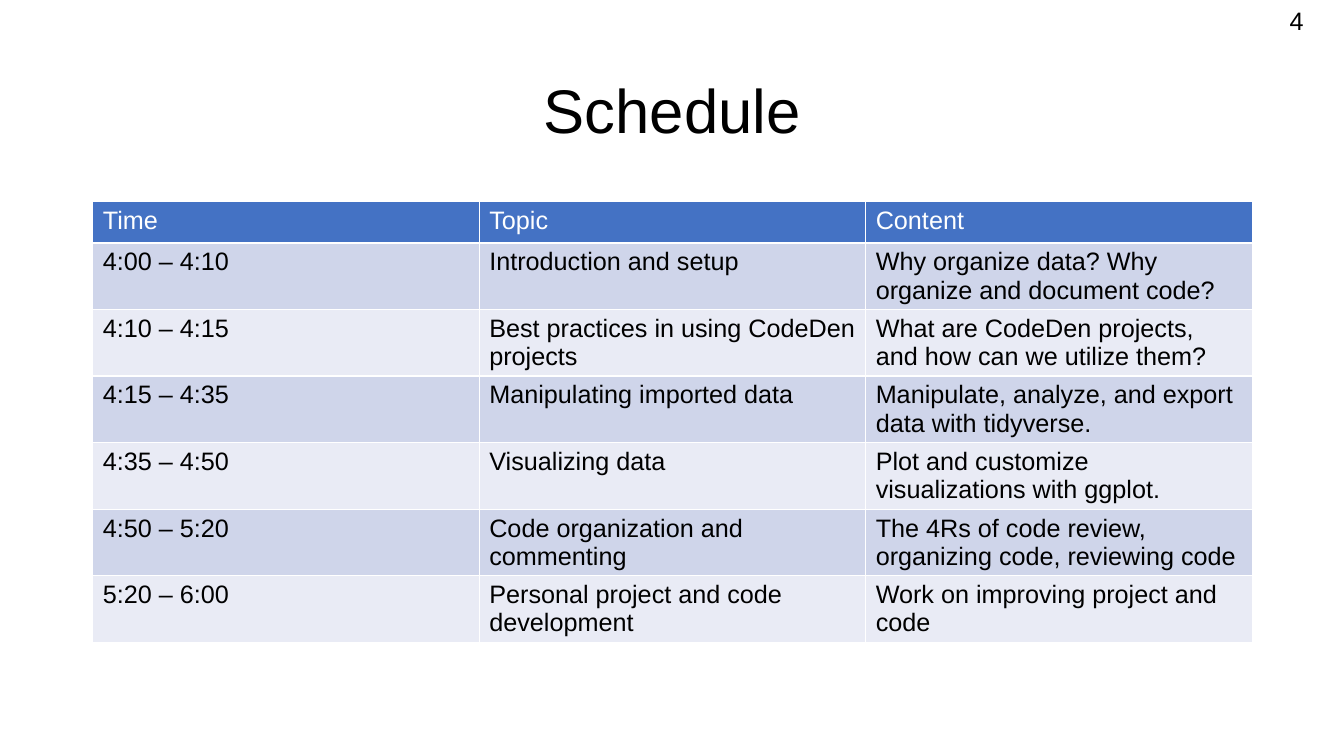
from dataclasses import dataclass

from pptx import Presentation
from pptx.dml.color import RGBColor
from pptx.enum import text
from pptx.util import Inches, Pt


@dataclass(frozen=True)
class Theme:
    font: str = "Arial"
    title_size: int = 44
    body_size: int = 18
    ink: str = "000000"
    paper: str = "FFFFFF"
    header: str = "4472C4"
    bands: tuple = ("CFD5EA", "E9EBF5")


THEME = Theme()

SCHEDULE = [
    ("Time", "Topic", "Content"),
    ("4:00 – 4:10", "Introduction and setup",
     "Why organize data? Why organize and document code?"),
    ("4:10 – 4:15", "Best practices in using CodeDen projects",
     "What are CodeDen projects, and how can we utilize them?"),
    ("4:15 – 4:35", "Manipulating imported data",
     "Manipulate, analyze, and export data with tidyverse."),
    ("4:35 – 4:50", "Visualizing data",
     "Plot and customize visualizations with ggplot."),
    ("4:50 – 5:20", "Code organization and commenting",
     "The 4Rs of code review, organizing code, reviewing code"),
    ("5:20 – 6:00", "Personal project and code development",
     "Work on improving project and code"),
]


def write(frame, words, size, color, **paragraph_format):
    frame.text = words
    paragraph = frame.paragraphs[0]
    for name, value in paragraph_format.items():
        setattr(paragraph, name, value)
    font = paragraph.runs[0].font
    for name, value in {"name": THEME.font, "size": Pt(size), "bold": False}.items():
        setattr(font, name, value)
    font.color.rgb = RGBColor.from_string(color)


def add_title(slide, words, left, top, width, height):
    title = slide.shapes.title
    box = {"left": left, "top": top, "width": width, "height": height}
    for name, value in box.items():
        setattr(title, name, Inches(value))
    title.text_frame.vertical_anchor = text.MSO_ANCHOR.MIDDLE
    write(title.text_frame, words, THEME.title_size, THEME.ink,
          alignment=text.PP_ALIGN.CENTER, line_spacing=0.9)


def add_schedule(slide, rows, left, top, width, header_height, row_height):
    height = header_height + row_height * (len(rows) - 1)
    table = slide.shapes.add_table(
        len(rows), len(rows[0]),
        Inches(left), Inches(top), Inches(width), Inches(height)).table
    for row_index, row in enumerate(rows):
        is_header = row_index == 0
        fill = THEME.header if is_header else THEME.bands[(row_index - 1) % 2]
        color = THEME.paper if is_header else THEME.ink
        table.rows[row_index].height = Inches(header_height if is_header else row_height)
        for column_index, words in enumerate(row):
            cell = table.cell(row_index, column_index)
            cell.fill.solid()
            cell.fill.fore_color.rgb = RGBColor.from_string(fill)
            write(cell.text_frame, words, THEME.body_size, color)


def add_page_number(slide, number, left, top, width, height):
    box = slide.shapes.add_textbox(
        Inches(left), Inches(top), Inches(width), Inches(height))
    box.text_frame.word_wrap = True
    box.text_frame.margin_right = Inches(0.4)
    write(box.text_frame, number, THEME.body_size, THEME.ink,
          alignment=text.PP_ALIGN.RIGHT)


def main():
    presentation = Presentation()
    presentation.slide_width = Inches(13.33)
    presentation.slide_height = Inches(7.5)
    slide = presentation.slides.add_slide(presentation.slide_layouts[5])

    # Heading
    add_title(slide, "Schedule", 0.92, 0.4, 11.5, 1.45)
    # Timetable
    add_schedule(slide, SCHEDULE, 0.92, 2, 11.5, 0.41, 0.66)
    # Page number in the top right corner
    add_page_number(slide, "4", 10.33, 0, 3, 0.4)

    presentation.save("out.pptx")


if __name__ == "__main__":
    main()
